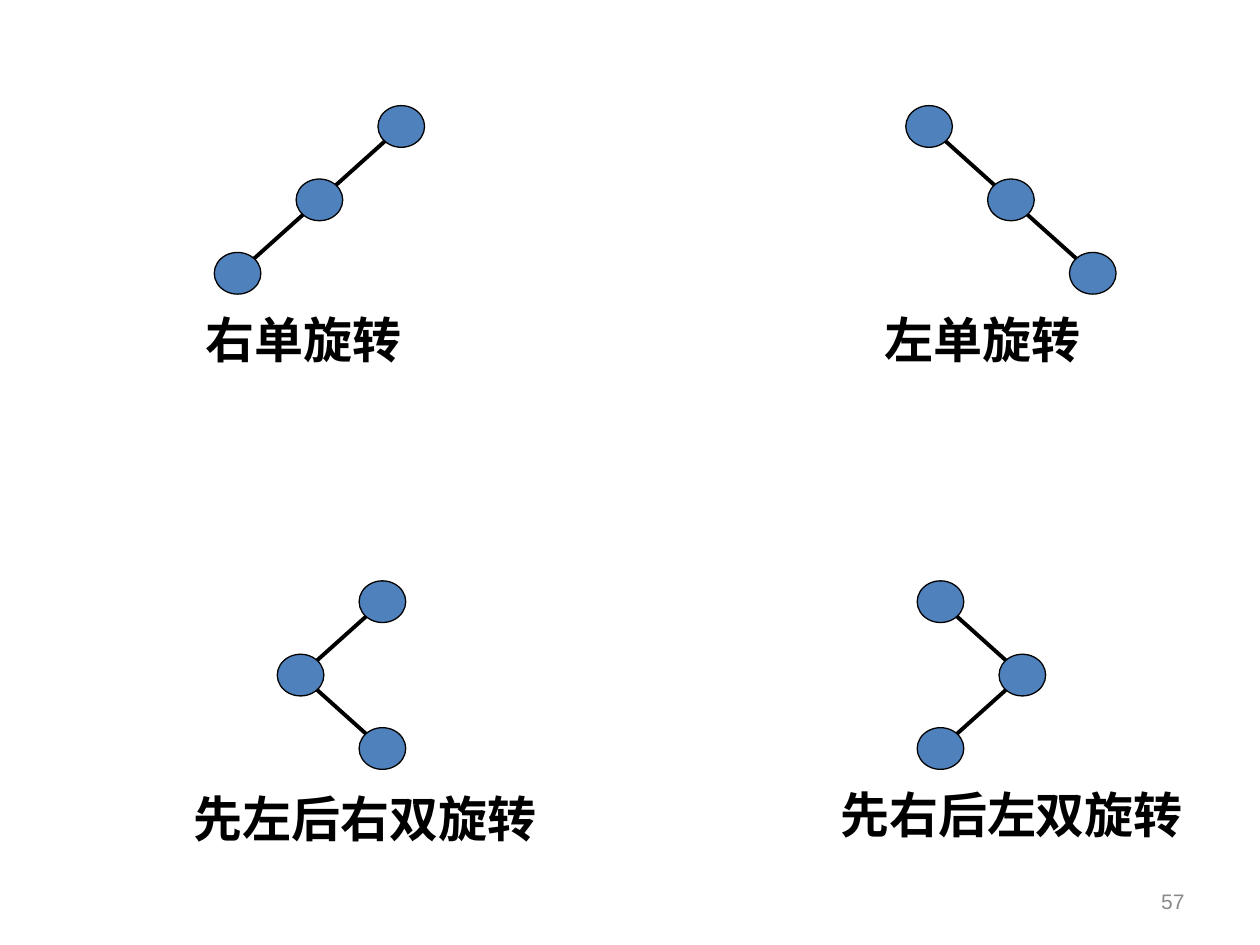
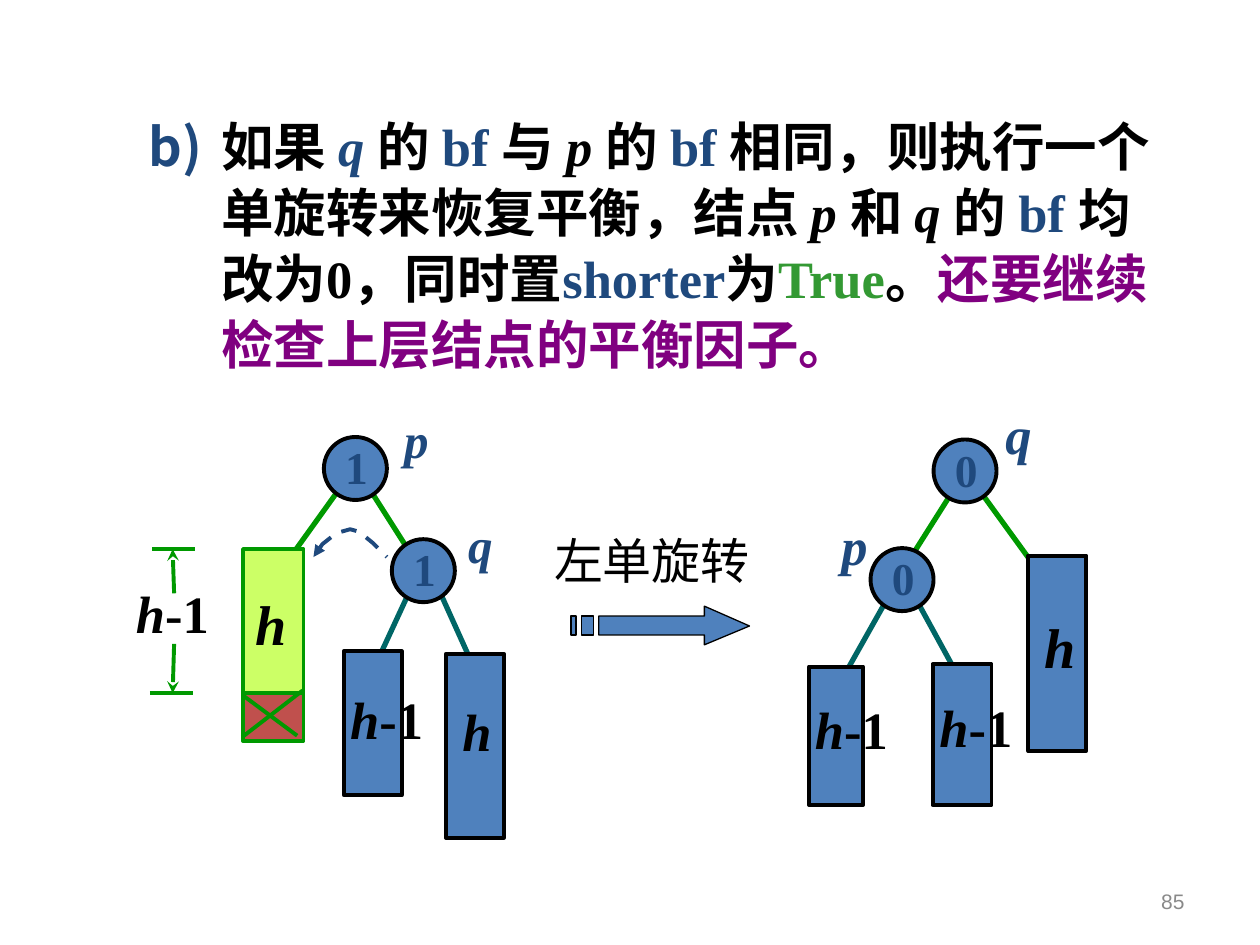
from lxml import etree
from pptx import Presentation
from pptx.dml.color import RGBColor
from pptx.enum.dml import MSO_LINE
from pptx.enum.shapes import MSO_CONNECTOR, MSO_SHAPE
from pptx.enum.text import MSO_ANCHOR, MSO_AUTO_SIZE, PP_ALIGN
from pptx.oxml.ns import qn
from pptx.util import Cm, Pt

STRAIGHT = MSO_CONNECTOR.STRAIGHT
ELLIPSE, RECTANGLE = MSO_SHAPE.OVAL, MSO_SHAPE.RECTANGLE
DASH = MSO_LINE.DASH
RIGHT, MIDDLE = PP_ALIGN.RIGHT, MSO_ANCHOR.MIDDLE
GROW = MSO_AUTO_SIZE.SHAPE_TO_FIT_TEXT

BLACK, NAVY, GREY = "000000", "1F497D", "898989"
BLUE, RED, LIME = "4F81BD", "C0504D", "CCFF66"
GREEN, TEAL = "009900", "006666"
TRUE_GREEN, PURPLE = "339933", "800080"

SERIF, SANS = "Times New Roman", "Arial"


def color(value):
    return RGBColor.from_string(value)


class Deck:
    """Holds the presentation, its style and the page being drawn."""

    def __init__(self):
        self.deck = Presentation()
        self.deck.slide_width, self.deck.slide_height = Cm(25.4), Cm(19.05)

    def add_page(self, number):
        self.page = self.deck.slides.add_slide(self.deck.slide_layouts[6])
        self.shapes = self.page.shapes
        box = self.text(18.21, 17.65, 5.92, 1.02, [(str(number), {})],
                        size=12, name=SANS, ink=GREY)
        box.text_frame.vertical_anchor = MIDDLE
        box.text_frame.paragraphs[0].alignment = RIGHT

    def add_spans(self, para, spans, ink=BLACK, **formats):
        """Add (text, changes) spans; changes override the shared formats."""
        for text, changes in spans:
            span = para.add_run()
            span.text = text
            values = {"name": SERIF, "ink": ink, **formats, **changes}
            span.font.color.rgb = color(values.pop("ink"))
            values["size"] = Pt(values["size"])
            for attribute, value in values.items():
                setattr(span.font, attribute, value)

    def text(self, left, top, width, height, spans, wrap=True, **formats):
        box = self.shapes.add_textbox(Cm(left), Cm(top), Cm(width), Cm(height))
        box.text_frame.word_wrap = wrap
        self.add_spans(box.text_frame.paragraphs[0], spans, **formats)
        return box

    def caption(self, left, top, text, bold=True):
        box = self.text(left, top, 0.99 * len(text) + 0.51, 1.45, [(text, {})],
                        wrap=False, size=28, bold=bold)
        box.text_frame.auto_size = GROW

    def symbol(self, left, top, letter, suffix="", size=30, width=1.32, ink=BLACK):
        """Write an italic letter with an optional upright suffix."""
        spans = [(letter, {"italic": True})]
        if suffix:
            spans.append((suffix, {"italic": False}))
        self.text(left, top, width, 1.52, spans, size=size, bold=True, ink=ink)

    def paint(self, shape, fill, ink, weight):
        shape.shadow.inherit = False
        if fill:
            shape.fill.solid()
            shape.fill.fore_color.rgb = color(fill)
        else:
            shape.fill.background()
        shape.line.color.rgb = color(ink)
        shape.line.width = Pt(weight)

    def shape(self, kind, left, top, width, height, fill=BLUE, ink=BLACK, weight=2.25):
        shape = self.shapes.add_shape(kind, Cm(left), Cm(top), Cm(width), Cm(height))
        self.paint(shape, fill, ink, weight)

    def numbered_node(self, left, top, digit):
        self.shape(ELLIPSE, left, top, 1.27, 1.27)
        self.text(left + 0.18, top - 0.08, 1.47, 1.37, [(digit, {})],
                  size=26, bold=True, ink=NAVY)

    def arrowhead(self, shape, end, kind):
        etree.SubElement(shape._element.spPr.find(qn("a:ln")), qn(f"a:{end}"), type=kind)

    def line(self, start, finish, ink=BLACK, weight=2.25, arrow=None):
        line = self.shapes.add_connector(STRAIGHT, *map(Cm, start + finish))
        line.line.color.rgb = color(ink)
        line.line.width = Pt(weight)
        if arrow:
            self.arrowhead(line, "tailEnd", arrow)
        etree.SubElement(line._element.spPr, qn("a:effectLst"))

    def outline(self, contours, closed=True, fill=BLUE, ink=BLACK, weight=0.75):
        """Draw one freeform from one or more lists of points."""
        first, *others = [[(Cm(x), Cm(y)) for x, y in contour] for contour in contours]
        builder = self.shapes.build_freeform(*first[0], scale=1.0)
        builder.add_line_segments(first[1:], close=closed)
        for contour in others:
            builder.move_to(*contour[0])
            builder.add_line_segments(contour[1:], close=closed)
        shape = builder.convert_to_shape()
        self.paint(shape, fill, ink, weight)
        return shape

    def lettered_item(self, left, top, width, height, start, spans):
        """Write a paragraph lettered a), b), ... from the given start."""
        box = self.shapes.add_textbox(Cm(left), Cm(top), Cm(width), Cm(height))
        box.text_frame.word_wrap = True
        para = box.text_frame.paragraphs[0]
        properties = para._p.get_or_add_pPr()
        properties.set("marL", str(Cm(2.74)))
        properties.set("indent", str(Cm(-1.47)))
        bullet_color = etree.SubElement(properties, qn("a:buClr"))
        etree.SubElement(bullet_color, qn("a:srgbClr"), val=NAVY)
        etree.SubElement(properties, qn("a:buAutoNum"),
                         type="alphaLcParenR", startAt=str(start))
        para.line_spacing = 1.05
        self.add_spans(para, spans, size=30, bold=True)


def draw_chain(deck, left, top, turns):
    """Draw three linked nodes; each turn is -1 (left) or 1 (right)."""
    width, height, step_x, step_y = 0.94, 0.84, 1.65, 1.48
    corners = [(left, top)]
    for turn in turns:
        x, y = corners[-1]
        corners.append((x + turn * step_x, y + step_y))
    centers = [(x + width / 2, y + height / 2) for x, y in corners]
    for start, finish in zip(centers, centers[1:]):
        deck.line(start, finish)
    for x, y in corners:
        deck.shape(ELLIPSE, x, y, width, height, weight=0.75)


def draw_rotation_kinds(deck):
    deck.add_page(57)
    kinds = [
        ("右单旋转", (7.62, 2.13), (-1, -1), (3.89, 6.12)),
        ("左单旋转", (18.26, 2.13), (1, 1), (17.58, 6.12)),
        ("先左后右双旋转", (7.24, 11.71), (-1, 1), (3.66, 15.77)),
        ("先右后左双旋转", (18.49, 11.71), (1, -1), (16.69, 15.7)),
    ]
    for name, top_node, turns, caption in kinds:
        draw_chain(deck, *top_node, turns)
        deck.caption(*caption, name)


def draw_rule(deck):
    blue, italic = {"ink": NAVY}, {"italic": True}
    deck.lettered_item(1.47, 2.11, 22.43, 6.2, 2, [
        ("如果 ", {}), ("q ", {**blue, **italic}), ("的 ", {}), ("bf ", blue),
        ("与 ", {}), ("p ", italic), ("的 ", {}), ("bf ", blue),
        ("相同，则执行一个单旋转来恢复平衡，结点 ", {}), ("p ", italic),
        ("和 ", {}), ("q ", italic), ("的 ", {}), ("bf ", blue),
        ("均改为0，同时置", {}), ("shorter", blue), ("为", {}),
        ("True", {"ink": TRUE_GREEN}), ("。", {}),
        ("还要继续检查上层结点的平衡因子。", {"ink": PURPLE}),
    ])


def draw_tree(deck, edges, nodes, subtrees):
    for start, finish, ink in edges:
        deck.line(start, finish, ink, 3)
    for subtree in subtrees:
        deck.shape(RECTANGLE, *subtree)
    for node in nodes:
        deck.numbered_node(*node)


def draw_tree_before(deck):
    draw_tree(
        deck,
        edges=[((8.79, 11.76), (9.65, 13.67), TEAL), ((8.46, 11.48), (7.59, 13.36), TEAL),
               ((7.19, 9.45), (8.66, 11.76), GREEN), ((6.99, 9.65), (5.31, 11.99), GREEN)],
        nodes=[(6.53, 8.81, "1"), (7.9, 10.87, "1")],
        subtrees=[(4.9, 11.07, 1.22, 3.81, LIME, GREEN), (6.93, 13.13, 1.17, 2.9),
                  (8.99, 13.18, 1.17, 3.71), (4.9, 13.97, 1.22, 0.97, RED, GREEN)])
    deleted_cross = [((6.1, 13.92), (4.88, 14.86)), ((4.9, 14.02), (5.99, 14.83))]
    height_bars = [((3.02, 13.97), (3.89, 13.97)), ((3.07, 11.07), (3.94, 11.07))]
    for start, finish in deleted_cross + height_bars:
        deck.line(start, finish, GREEN)
    for start, finish in [(12.98, 13.97), (11.96, 11.07)]:
        deck.line((3.51, start), (3.48, finish), GREEN, arrow="stealth")
    deck.symbol(4.9, 11.76, "h", size=32, width=1.3)
    deck.symbol(9.07, 13.97, "h", width=1.07)
    for left, top in [(6.81, 13.72), (2.49, 11.58)]:
        deck.symbol(left, top, "h", "-1", width=2.11)
    deck.symbol(7.9, 8.13, "p", size=28, ink=NAVY)
    deck.symbol(9.19, 10.24, "q", size=28, ink=NAVY)
    arc = deck.outline([[(6.32, 11.23), (6.41, 11.1), (6.5, 10.97), (6.69, 10.82),
                         (6.88, 10.72), (7.06, 10.67), (7.24, 10.72), (7.52, 10.95),
                         (7.8, 11.23)]], closed=False, fill=None, ink=NAVY, weight=2.25)
    arc.line.dash_style = DASH
    deck.arrowhead(arc, "headEnd", "triangle")


def draw_rotation_arrow(deck):
    top, bottom = 12.42, 12.8
    head = [(14.2, 12.22), (14.2, top), (12.07, top), (12.07, bottom),
            (14.2, bottom), (14.2, 13), (15.11, 12.62)]
    bars = [[(left, top), (left, bottom), (right, bottom), (right, top)]
            for left, right in [(11.73, 11.96), (11.51, 11.61)]]
    deck.outline([head, *bars])
    deck.caption(10.92, 10.57, "左单旋转", bold=False)


def draw_tree_after(deck):
    draw_tree(
        deck,
        edges=[((17.96, 11.94), (16.89, 13.84), TEAL), ((18.39, 11.94), (19.43, 13.84), TEAL),
               ((19.46, 9.5), (17.98, 11.84), GREEN), ((19.61, 9.7), (21.31, 12.04), GREEN)],
        nodes=[(18.82, 8.86, "0"), (17.55, 11.05, "0")],
        subtrees=[(16.31, 13.44, 1.09, 2.79), (18.8, 13.39, 1.19, 2.84),
                  (20.73, 11.2, 1.17, 3.94)])
    for left, top in [(18.69, 13.89), (16.18, 13.92)]:
        deck.symbol(left, top, "h", "-1", width=2.11)
    deck.symbol(20.8, 12.22, "h", size=32, width=1.07)
    deck.symbol(16.71, 10.21, "p", ink=NAVY)
    deck.symbol(20.02, 7.98, "q", ink=NAVY)


def main():
    deck = Deck()
    draw_rotation_kinds(deck)
    deck.add_page(85)
    draw_rule(deck)
    draw_rotation_arrow(deck)
    draw_tree_after(deck)
    draw_tree_before(deck)
    deck.deck.save("out.pptx")


if __name__ == "__main__":
    main()
